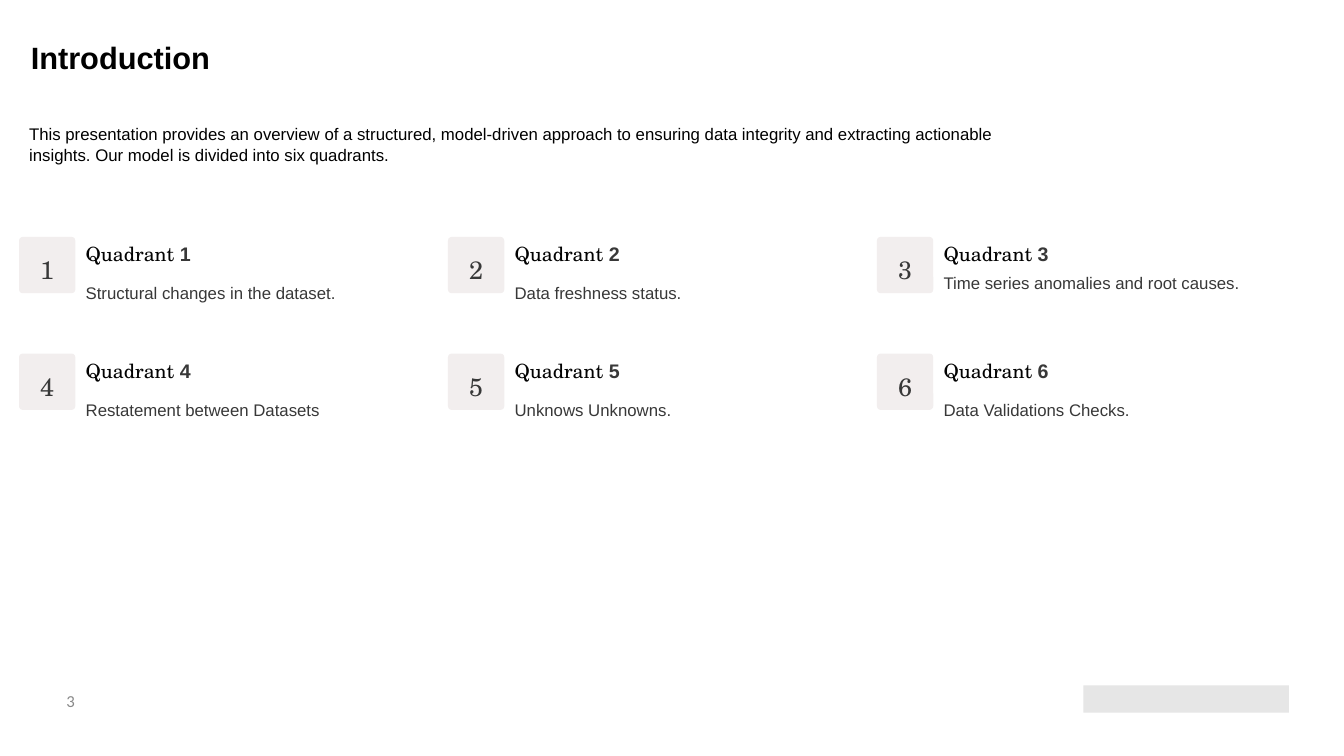
from dataclasses import dataclass

from pptx import Presentation
from pptx.dml.color import RGBColor
from pptx.enum.shapes import MSO_SHAPE as Shape
from pptx.enum.text import MSO_ANCHOR as Anchor, MSO_AUTO_SIZE as AutoSize, PP_ALIGN as Align
from pptx.oxml.xmlchemy import OxmlElement
from pptx.util import Cm, Pt


@dataclass(frozen=True)
class Theme:
    sans: str = "Arial"
    serif: str = "TeX Gyre Schola"
    footer_font: str = "Calibri"
    black: str = "000000"
    heading: str = "020202"
    dark: str = "383838"
    muted: str = "898989"
    tile: str = "F2EEEE"
    block: str = "E6E6E6"
    title_size: float = 22
    number_size: float = 18
    heading_size: float = 14
    body_size: float = 12


THEME = Theme()

INTRO = [
    "This presentation provides an overview of a structured, model-driven approach "
    "to ensuring data integrity and extracting actionable",
    "insights. Our model is divided into six quadrants.",
]
# Description and its drop below the top of the tile, in cm
QUADRANTS = [
    ("Structural changes in the dataset.", 0.66),
    ("Data freshness status.", 0.66),
    ("Time series anomalies and root causes.", 0.41),
    ("Restatement between Datasets", 0.66),
    ("Unknows Unknowns.", 0.66),
    ("Data Validations Checks.", 0.66),
]
COLUMNS = 3


def style(font, name, size, color, bold=False):
    font.name, font.size, font.bold = name, Pt(size), bold
    font.color.rgb = RGBColor.from_string(color)


def place(shape, left, top, width, height):
    shape.left, shape.top = Cm(left), Cm(top)
    shape.width, shape.height = Cm(width), Cm(height)


def add_block(page, kind, left, top, width, height, color):
    block = page.shapes.add_shape(kind, Cm(left), Cm(top), Cm(width), Cm(height))
    block.shadow.inherit = False
    block.fill.solid()
    block.fill.fore_color.rgb = RGBColor.from_string(color)
    block.line.fill.background()
    return block


def add_line(page, left, top, width, height, spacing):
    """Add a text box without margins and return its paragraph."""
    box = page.shapes.add_textbox(Cm(left), Cm(top), Cm(width), Cm(height))
    frame = box.text_frame
    frame.word_wrap = True
    frame.margin_left = frame.margin_right = frame.margin_top = frame.margin_bottom = 0
    para = frame.paragraphs[0]
    para.line_spacing = Pt(spacing)
    return para


def fill_title(page, left, top, width, height):
    title = page.shapes.title
    place(title, left, top, width, height)
    frame = title.text_frame
    frame.text = "Introduction"
    frame.word_wrap = False
    frame.auto_size = AutoSize.NONE
    frame.vertical_anchor = Anchor.TOP
    para = frame.paragraphs[0]
    para.alignment = Align.CENTER
    style(para.font, THEME.sans, THEME.title_size, THEME.black, bold=True)


def fill_intro(page, left, top, width, height):
    body = page.placeholders[1]
    place(body, left, top, width, height)
    frame = body.text_frame
    frame.text = "\n".join(INTRO)
    frame.word_wrap = True
    frame.auto_size = AutoSize.NONE
    for para in frame.paragraphs:
        para.space_before = Pt(0)
        style(para.font, THEME.sans, THEME.body_size, THEME.black)
        # Plain paragraphs: no bullet, no indent
        props = para._p.get_or_add_pPr()
        props.set("marL", "0")
        props.set("indent", "0")
        props.insert_element_before(OxmlElement("a:buNone"), "a:tabLst", "a:defRPr", "a:extLst")


def add_quadrant(page, left, top, width, number, description, drop):
    # Numbered tile
    side = 1.42
    tile = add_block(page, Shape.ROUNDED_RECTANGLE, left, top, side, side, THEME.tile)
    tile.adjustments[0] = 0.067
    digit_width = 0.54
    para = add_line(page, left + (side - digit_width) / 2, top + 0.21, digit_width, 1, 28)
    para.text = str(number)
    para.alignment = Align.CENTER
    style(para.font, THEME.serif, THEME.number_size, THEME.dark)

    # Heading
    text_left, text_width = left + 1.68, width - 1.68
    para = add_line(page, text_left, top - 0.3, text_width, 1.04, 29)
    for text, font, color, bold in (
        ("Quadrant", THEME.serif, THEME.heading, False),
        (f" {number}", THEME.sans, THEME.dark, True),
    ):
        span = para.add_run()
        span.text = text
        style(span.font, font, THEME.heading_size, color, bold)

    # Description
    para = add_line(page, text_left, top + drop, text_width, 1, 28.5)
    para.text = description
    style(para.font, THEME.sans, THEME.body_size, THEME.dark)


def add_quadrants(page, left, top, column_step, row_step):
    for index, (description, drop) in enumerate(QUADRANTS):
        row, column = divmod(index, COLUMNS)
        add_quadrant(page, left + column * column_step, top + row * row_step,
                     9.8, index + 1, description, drop)


def add_footer(page, left, top, width, height):
    add_block(page, Shape.RECTANGLE, left + 27.3, top + 0.13, 5.18, 0.69, THEME.block)
    box = page.shapes.add_textbox(Cm(left), Cm(top), Cm(width), Cm(height))
    frame = box.text_frame
    frame.word_wrap = True
    frame.vertical_anchor = Anchor.MIDDLE
    para = frame.paragraphs[0]
    para.text = "3"
    para.alignment = Align.RIGHT
    style(para.font, THEME.footer_font, THEME.body_size, THEME.muted)


def main():
    deck = Presentation()
    deck.slide_width, deck.slide_height = Cm(33.87), Cm(19.05)
    page = deck.slides.add_slide(deck.slide_layouts[1])
    add_footer(page, 0, 17.14, 2.14, 1.02)
    add_quadrants(page, 0.48, 5.97, 10.81, 2.94)
    fill_title(page, 0.48, 0.86, 5.11, 1.2)
    fill_intro(page, 0.48, 3, 30.33, 1.28)
    deck.save("out.pptx")


if __name__ == "__main__":
    main()
